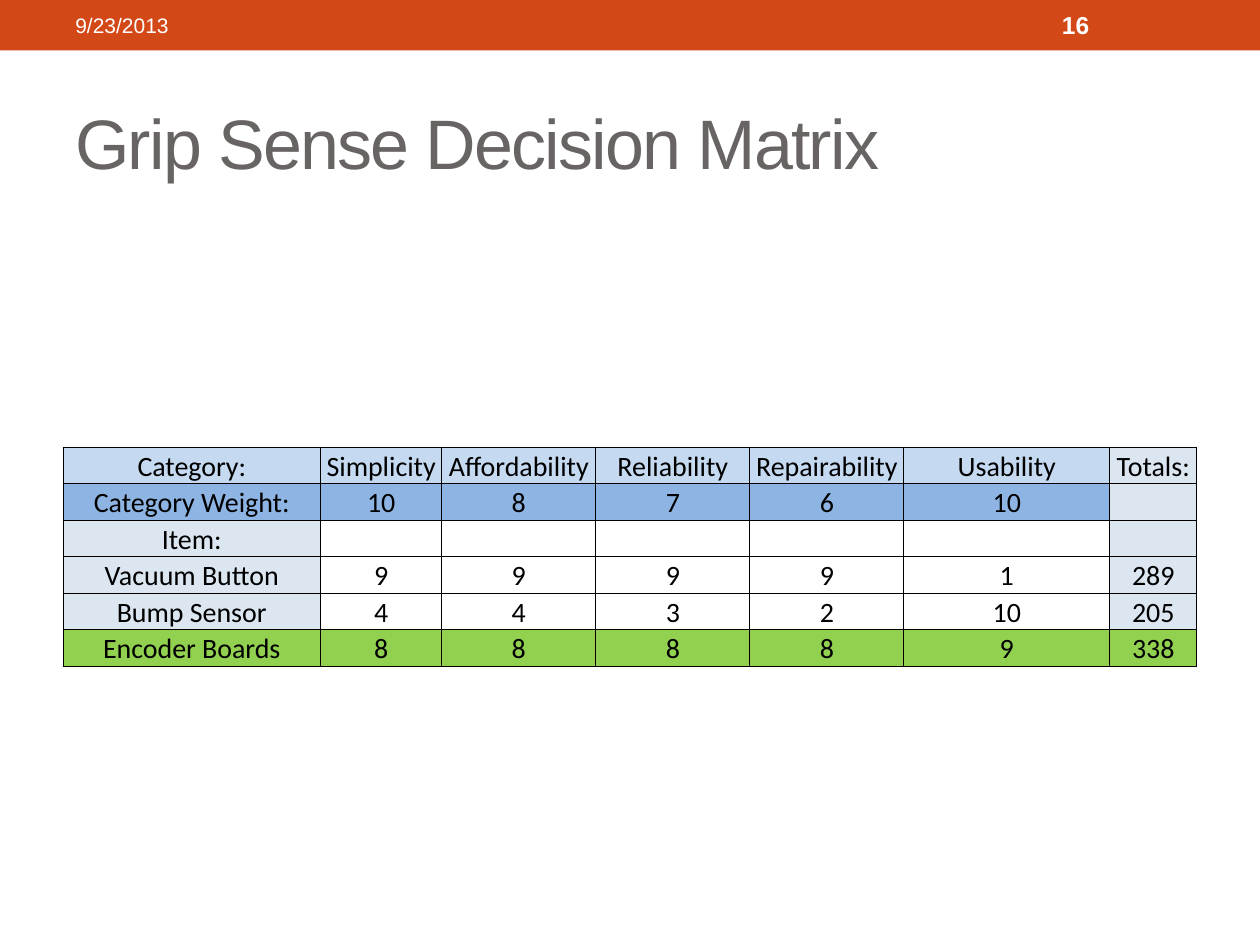
from lxml.etree import SubElement
from pptx import Presentation
from pptx.dml.color import RGBColor
from pptx.enum.shapes import MSO_SHAPE as Shape
from pptx.enum.text import MSO_ANCHOR as Anchor, PP_ALIGN as Align
from pptx.oxml.ns import qn
from pptx.util import Inches, Pt

COLORS = {
    "band": "D34817", "title": "696464", "white": "FFFFFF", "black": "000000",
    "header": "C5D9F1", "weight": "8DB4E2", "label": "DCE6F1", "winner": "92D050",
}
COLUMN_WIDTHS = [2.04, 0.96, 1.22, 1.22, 1.22, 1.63, 0.69]
ROW_HEIGHT = 0.29
MATRIX = [
    ["Category:", "Simplicity", "Affordability", "Reliability", "Repairability",
     "Usability", "Totals:"],
    ["Category Weight:", "10", "8", "7", "6", "10", ""],
    ["Item:", "", "", "", "", "", ""],
    ["Vacuum Button", "9", "9", "9", "9", "1", "289"],
    ["Bump Sensor", "4", "4", "3", "2", "10", "205"],
    ["Encoder Boards", "8", "8", "8", "8", "9", "338"],
]


def rgb(name):
    return RGBColor.from_string(COLORS[name])


def style_font(font, name, size, color, bold=False):
    font.name, font.size, font.bold = name, Pt(size), bold
    font.color.rgb = rgb(color)


def add_text(slide, left, top, width, height, text, size, color, bold=False):
    box = slide.shapes.add_textbox(Inches(left), Inches(top), Inches(width), Inches(height))
    frame = box.text_frame
    frame.word_wrap = True
    frame.vertical_anchor = Anchor.MIDDLE
    paragraph = frame.paragraphs[0]
    paragraph.text = text
    style_font(paragraph.font, "Arial", size, color, bold)
    return paragraph


def add_header_band(slide, left, top, width, height):
    band = slide.shapes.add_shape(
        Shape.RECTANGLE, Inches(left), Inches(top), Inches(width), Inches(height))
    band.shadow.inherit = False
    band.fill.solid()
    band.fill.fore_color.rgb = rgb("band")
    band.line.fill.background()
    # Date and slide number
    text_top, text_height = top + 0.02, height - 0.04
    add_text(slide, left + 0.5, text_top, 3.17, text_height, "9/23/2013", 12, "white")
    add_text(slide, left + width - 1.67, text_top, 1.17, text_height, "16", 14, "white", True)


def add_title(slide, left, top, width, height):
    paragraph = add_text(slide, left, top, width, height,
                         "Grip Sense Decision Matrix", 40, "title")
    # Tighten letter spacing by one point
    paragraph.runs[0].font._element.set("spc", "-100")


def cell_color(row, column):
    last_row, last_column = len(MATRIX) - 1, len(COLUMN_WIDTHS) - 1
    if row == last_row:
        return "winner"
    if column == last_column or (column == 0 and row > 1):
        return "label"
    return {0: "header", 1: "weight"}.get(row)


def add_borders(cell):
    properties = cell._tc.get_or_add_tcPr()
    for side in ("lnL", "lnR", "lnT", "lnB"):
        line = SubElement(properties, qn(f"a:{side}"), w=str(Pt(0.5)))
        fill = SubElement(line, qn("a:solidFill"))
        SubElement(fill, qn("a:srgbClr"), val=COLORS["black"])


def fill_cell(cell, text, color):
    add_borders(cell)
    if color:
        cell.fill.solid()
        cell.fill.fore_color.rgb = rgb(color)
    else:
        cell.fill.background()
    cell.margin_left = cell.margin_top = cell.margin_right = Inches(0.01)
    cell.margin_bottom = 0
    cell.vertical_anchor = Anchor.BOTTOM
    paragraph = cell.text_frame.paragraphs[0]
    paragraph.alignment = Align.CENTER
    style_font(paragraph.font, "Calibri", 16, "black")
    if text:
        paragraph.text = text
    else:
        # Keep empty cells from stretching their row
        SubElement(paragraph._p, qn("a:endParaRPr"), sz="1600")


def add_matrix(slide, left, top, width):
    table = slide.shapes.add_table(
        len(MATRIX), len(COLUMN_WIDTHS), Inches(left), Inches(top),
        Inches(width), Inches(ROW_HEIGHT * len(MATRIX))).table
    table.first_row = table.horz_banding = False
    scale = width / sum(COLUMN_WIDTHS)
    for column, column_width in zip(table.columns, COLUMN_WIDTHS):
        column.width = Inches(column_width * scale)
    for row, texts in enumerate(MATRIX):
        table.rows[row].height = Inches(ROW_HEIGHT)
        for column, text in enumerate(texts):
            fill_cell(table.cell(row, column), text, cell_color(row, column))


def main():
    presentation = Presentation()
    presentation.slide_width, presentation.slide_height = Inches(10), Inches(7.5)
    slide = presentation.slides.add_slide(presentation.slide_layouts[6])
    add_header_band(slide, 0, 0, 10, 0.4)
    add_title(slide, 0.5, 0.58, 9, 1.08)
    add_matrix(slide, 0.5, 3.55, 9)
    presentation.save("out.pptx")


if __name__ == "__main__":
    main()
